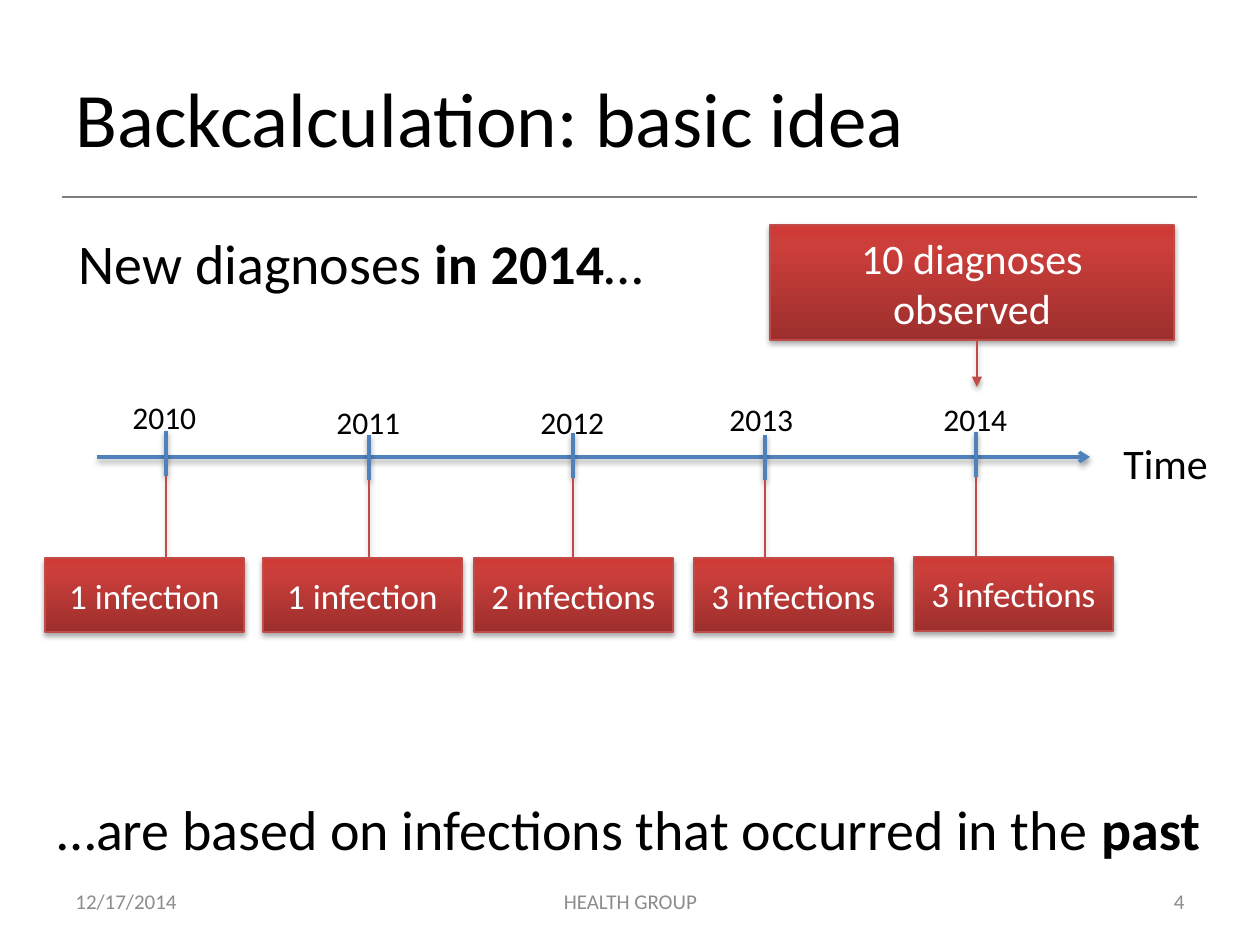
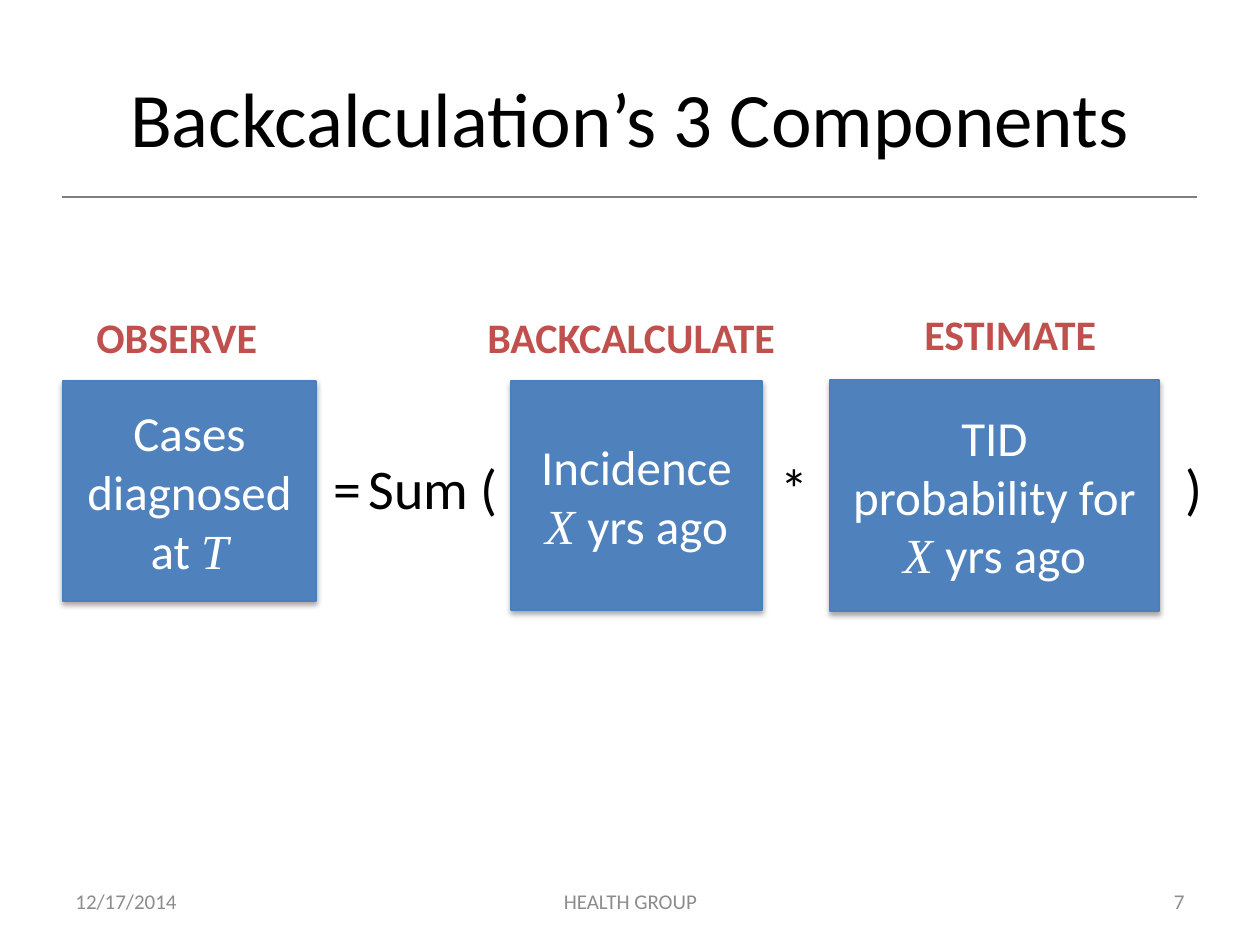
from copy import deepcopy

from lxml import etree
from pptx import Presentation
from pptx import util as u
from pptx.dml.color import RGBColor
from pptx.enum import shapes, text
from pptx.oxml.ns import qn

EMU_PER_PX = 914400 / 126
FONT = "Calibri"
VARIABLE_FONT = "Times New Roman"
COLORS = {
    "black": "000000",
    "white": "FFFFFF",
    "rule": "7F7F7F",
    "footer": "8C8C8C",
    "blue": "4F81BD",
    "blue_edge": "4B7EBC",
    "red": "C0504D",
    "red_edge": "BF4C48",
}
RED_GRADIENT = [(0, "9C2F2D"), (0.8, "CB3E3A"), (1, "CE3B37")]
LEFT, CENTER, RIGHT = text.PP_ALIGN.LEFT, text.PP_ALIGN.CENTER, text.PP_ALIGN.RIGHT
TOP, MIDDLE = text.MSO_ANCHOR.TOP, text.MSO_ANCHOR.MIDDLE

TITLE_BOX = (63, 38, 1134, 157)
RULE = (62, 197, 1197, 197)
FOOTER_TOP, FOOTER_HEIGHT = 876, 50
DATE, ORGANISATION = "12/17/2014", "HEALTH GROUP"

# Timeline: year, tick x, tick top, label left, label top, box left, box top, box text
TICK_HEIGHT = 45
YEARS = [
    ("2010", 166, 431, 120, 392, 45, 558, "1 infection"),
    ("2011", 369, 435, 324, 397, 263, 558, "1 infection"),
    ("2012", 573, 433, 528, 397, 474, 558, "2 infections"),
    ("2013", 765, 435, 717, 394, 694, 558, "3 infections"),
    ("2014", 976, 432, 931, 394, 914, 557, "3 infections"),
]

# Formula: heading, heading box, block box, block paragraphs
COMPONENTS = [
    ("OBSERVE", (84, 305, 200, 63), (63, 381, 253, 220),
     [["Cases diagnosed at ", ("T", "variable")]]),
    ("BACKCALCULATE", (475, 305, 330, 63), (511, 381, 251, 229),
     [["Incidence ", ("X ", "variable"), "yrs ago"]]),
    ("ESTIMATE", (912, 302, 220, 63), (830, 380, 329, 231),
     [["TID"], ["probability for ", ("X ", "variable"), "yrs ago"]]),
]
OPERATORS = [("=", 321, 60), ("Sum (", 356, 165), ("*", 768, 60), (")", 1173, 60)]


def px(length):
    return u.Emu(round(length * EMU_PER_PX))


def color(name):
    return RGBColor.from_string(COLORS[name])


def place(shape, box):
    shape.left, shape.top, shape.width, shape.height = map(px, box)


def write(shape, paragraphs, size, ink="black", align=LEFT, anchor=TOP, space=0):
    """Fill a shape with paragraphs, each a list of strings or (string, style) runs."""
    frame = shape.text_frame
    frame.word_wrap = True
    frame.auto_size = text.MSO_AUTO_SIZE.NONE
    frame.vertical_anchor = anchor
    for index, runs in enumerate(paragraphs):
        paragraph = frame.add_paragraph() if index else frame.paragraphs[0]
        paragraph.alignment = align
        paragraph.space_before = u.Pt(space)
        for item in runs:
            words, style = (item, "") if isinstance(item, str) else item
            run = paragraph.add_run()
            run.text = words
            run.font.name = VARIABLE_FONT if style == "variable" else FONT
            run.font.size = u.Pt(size)
            run.font.bold = style == "bold"
            run.font.italic = style == "variable"
            run.font.color.rgb = color(ink)


def set_effects(shape, distance=0, alpha=0):
    """Give a shape a soft downward shadow, or none when alpha is 0."""
    effects = etree.SubElement(shape._element.spPr, qn("a:effectLst"))
    if alpha:
        shadow = etree.SubElement(effects, qn("a:outerShdw"), blurRad="40000",
                                  dist=str(distance), dir="5400000", rotWithShape="0")
        ink = etree.SubElement(shadow, qn("a:srgbClr"), val=COLORS["black"])
        etree.SubElement(ink, qn("a:alpha"), val=str(alpha * 1000))


def set_arrow(shape, kind):
    etree.SubElement(shape.line._get_or_add_ln(), qn("a:tailEnd"), type=kind)


def set_red_gradient(shape):
    shape.fill.gradient()
    shape.fill.gradient_angle = 90
    stops = shape._element.spPr.find(".//" + qn("a:gsLst"))
    stops.append(deepcopy(stops[0]))
    for stop, (position, value) in zip(shape.fill.gradient_stops, RED_GRADIENT):
        stop.position = position
        stop.color.rgb = RGBColor.from_string(value)


def add_text(slide, box, paragraphs, size, **options):
    shape = slide.shapes.add_textbox(*map(px, box))
    write(shape, paragraphs, size, **options)


def add_line(slide, ends, ink, width, arrow=None, shadow=True):
    line = slide.shapes.add_connector(shapes.MSO_CONNECTOR.STRAIGHT, *map(px, ends))
    line.line.color.rgb = color(ink)
    line.line.width = u.Pt(width)
    if arrow:
        set_arrow(line, arrow)
    set_effects(line, 20000, 38 if shadow else 0)


def add_callout(slide, box, tip, words, size, arrow=None):
    """Red box with a leader line from its nearer edge to the tip."""
    left, top, width, height = box
    tip_x, tip_y = tip
    shape = slide.shapes.add_shape(shapes.MSO_SHAPE.LINE_CALLOUT_1, *map(px, box))
    across = (tip_x - left) / width
    leader = (0 if tip_y < top else 1, across, (tip_y - top) / height, across)
    for index, value in enumerate(leader):
        shape.adjustments[index] = value
    set_red_gradient(shape)
    shape.line.color.rgb = color("red_edge")
    shape.line.width = u.Pt(0.75)
    if arrow:
        set_arrow(shape, arrow)
    set_effects(shape, 23000, 35)
    write(shape, [[words]], size, ink="white", align=CENTER, anchor=MIDDLE)


def add_block(slide, box, paragraphs):
    shape = slide.shapes.add_shape(shapes.MSO_SHAPE.RECTANGLE, *map(px, box))
    shape.fill.solid()
    shape.fill.fore_color.rgb = color("blue")
    shape.line.color.rgb = color("blue_edge")
    shape.line.width = u.Pt(0.75)
    set_effects(shape, 23000, 35)
    write(shape, paragraphs, 28, ink="white", align=CENTER, anchor=MIDDLE)


def add_slide(presentation, layout, title, number, align):
    """Slide with the shared title, rule and footers."""
    slide = presentation.slides.add_slide(presentation.slide_layouts[layout])
    add_line(slide, RULE, "rule", 0.75, shadow=False)
    place(slide.shapes.title, TITLE_BOX)
    write(slide.shapes.title, [[title]], 44, align=align, anchor=MIDDLE)
    footers = [(DATE, 63, 294, LEFT), (ORGANISATION, 431, 399, CENTER),
               (number, 903, 294, RIGHT)]
    for words, left, width, side in footers:
        add_text(slide, (left, FOOTER_TOP, width, FOOTER_HEIGHT), [[words]], 12,
                 ink="footer", align=side, anchor=MIDDLE)
    return slide


def add_lead(slide, box, runs):
    """Body placeholder as one plain line without a bullet."""
    body = slide.placeholders[1]
    place(body, box)
    write(body, [runs], 32, space=6.4)
    properties = body.text_frame.paragraphs[0]._p.get_or_add_pPr()
    properties.set("marL", "0")
    properties.set("indent", "0")
    etree.SubElement(properties, qn("a:buNone"))


def build_timeline(presentation):
    slide = add_slide(presentation, 1, "Backcalculation: basic idea", "4", LEFT)
    add_lead(slide, (66, 222, 607, 86), ["New diagnoses ", ("in 2014", "bold"), "…"])

    # Axis
    add_line(slide, (97, 457, 1090, 457), "blue", 2, arrow="arrow")
    add_text(slide, (1111, 431, 125, 58), [["Time"]], 24)

    # Years with their infections
    for year, x, tick_top, label_left, label_top, left, top, infections in YEARS:
        tick_end = tick_top + TICK_HEIGHT
        add_line(slide, (x, tick_top, x, tick_end), "blue", 2)
        add_text(slide, (label_left, label_top, 110, 38), [[year]], 18)
        add_callout(slide, (left, top, 199, 74), (x, tick_end), infections, 20)

    # Observed diagnoses and conclusion
    add_callout(slide, (770, 225, 404, 115), (977, 387), "10 diagnoses observed", 24,
                arrow="triangle")
    add_text(slide, (45, 788, 1178, 92),
             [["…are based on infections that occurred in the ", ("past", "bold")]],
             32, space=6.4)


def build_formula(presentation):
    slide = add_slide(presentation, 5, "Backcalculation’s 3 Components", "7", CENTER)
    for heading, heading_box, block_box, paragraphs in COMPONENTS:
        add_text(slide, heading_box, [[(heading, "bold")]], 24, ink="red")
        add_block(slide, block_box, paragraphs)
    for symbol, left, width in OPERATORS:
        add_text(slide, (left, 447, width, 90), [[symbol]], 32, space=6.4)


def main():
    presentation = Presentation()
    presentation.slide_width, presentation.slide_height = px(1260), px(945)
    build_timeline(presentation)
    build_formula(presentation)
    presentation.save("out.pptx")


if __name__ == "__main__":
    main()
